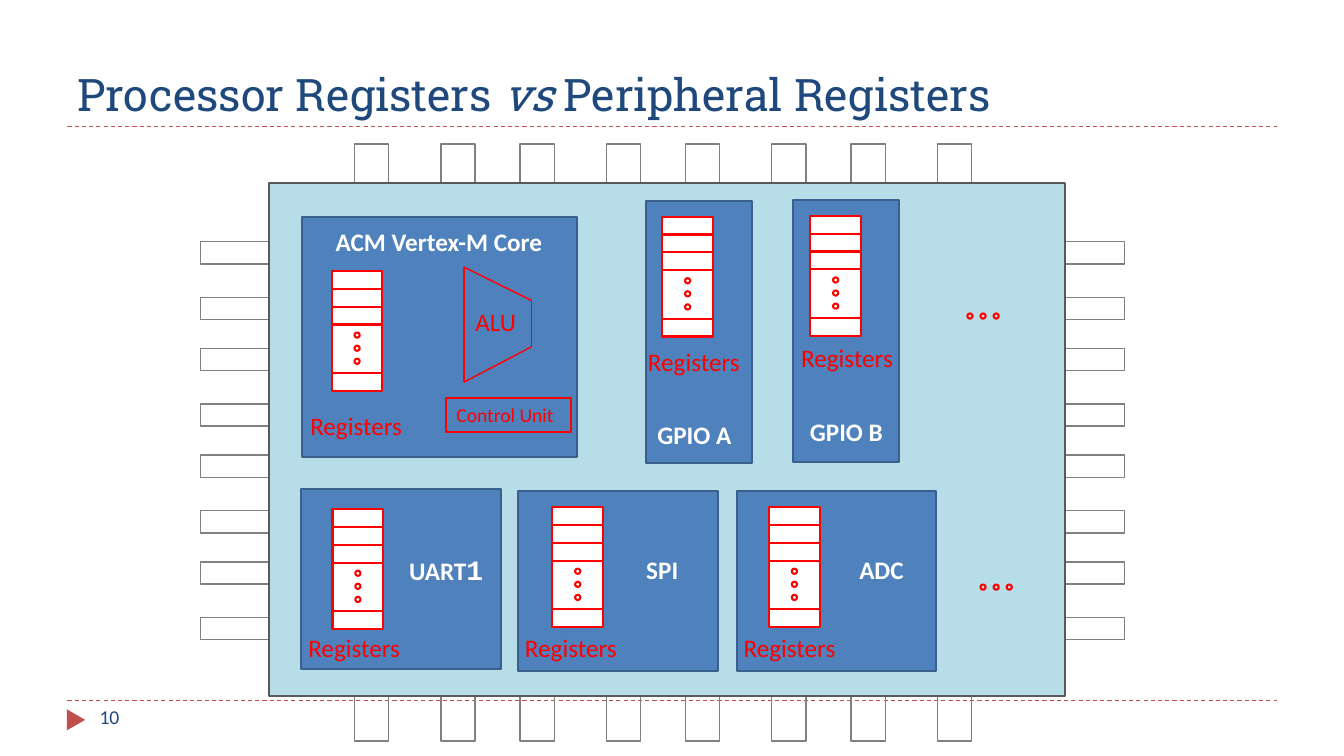
from lxml import etree
from pptx import Presentation
from pptx.dml.color import RGBColor
from pptx.enum.dml import MSO_LINE
from pptx.enum.shapes import MSO_CONNECTOR, MSO_SHAPE
from pptx.enum.text import MSO_ANCHOR, MSO_AUTO_SIZE, PP_ALIGN
from pptx.oxml.ns import qn
from pptx.util import Cm, Pt

RECT, OVAL, TRIANGLE = MSO_SHAPE.RECTANGLE, MSO_SHAPE.OVAL, MSO_SHAPE.ISOSCELES_TRIANGLE
STRAIGHT, DASH = MSO_CONNECTOR.STRAIGHT, MSO_LINE.DASH
TOP, MIDDLE, BOTTOM = MSO_ANCHOR.TOP, MSO_ANCHOR.MIDDLE, MSO_ANCHOR.BOTTOM
LEFT, CENTER = PP_ALIGN.LEFT, PP_ALIGN.CENTER
GROW = MSO_AUTO_SIZE.SHAPE_TO_FIT_TEXT

COLORS = {
    "title": "1F497D", "accent": "C0504D", "pin": "808080",
    "chip": "B7DEE8", "chip_edge": "595959",
    "module": "4F81BD", "module_edge": "3A5F8C",
    "register": "FF0000", "white": "FFFFFF",
}
CELL_WIDTH, CELL_HEIGHT, GAP_HEIGHT = 1.28, 0.45, 1.22
DOT_SIZE, DOT_PITCH = 0.13, 0.33
LABEL_HEIGHT = 1.02

# name, block (left, top, width, height), stack, "Registers" label, name (left, top, width)
PERIPHERALS = [
    ("GPIO A", (16.28, 5.06, 2.67, 6.6), (16.69, 5.46), (16.08, 8.59), (16.08, 10.44, 2.84)),
    ("GPIO B", (19.99, 5.04, 2.67, 6.6), (20.42, 5.44), (19.94, 8.51), (19.91, 10.36, 2.84)),
    ("UART1", (7.59, 12.32, 5.03, 4.55), (8.38, 12.83), (7.52, 15.8), (9.86, 13.79, 2.77)),
    ("SPI", (13.06, 12.37, 5.03, 4.55), (13.92, 12.78), (12.98, 15.82), (15.93, 13.84, 1.52)),
    ("ADC", (18.57, 12.37, 5.03, 4.55), (19.38, 12.78), (18.49, 15.82), (21.21, 13.84, 2.01)),
]


def rgb(name):
    return RGBColor.from_string(COLORS[name])


def add_block(shapes, box, fill=None, edge=None, weight=1.5, kind=RECT):
    block = shapes.add_shape(kind, *map(Cm, box))
    block.shadow.inherit = False
    if fill:
        block.fill.solid()
        block.fill.fore_color.rgb = rgb(fill)
    else:
        block.fill.background()
    if edge:
        block.line.color.rgb = rgb(edge)
        block.line.width = Pt(weight)
    else:
        block.line.fill.background()
    return block


def add_line(shapes, start, end, color, weight, dash=None):
    line = shapes.add_connector(STRAIGHT, *map(Cm, start + end))
    line.line.color.rgb = rgb(color)
    line.line.width = Pt(weight)
    if dash:
        line.line.dash_style = dash
    etree.SubElement(line._element.spPr, qn("a:effectLst"))


def style_run(run, color, size, font="Calibri", bold=False):
    run.font.name = font
    run.font.size = Pt(size)
    run.font.bold = bold
    run.font.color.rgb = rgb(color)


def write(shape, text, color, size, font="Calibri", bold=False,
          align=LEFT, anchor=TOP, wrap=False):
    frame = shape.text_frame
    frame.word_wrap = wrap
    frame.auto_size = MSO_AUTO_SIZE.NONE if wrap else GROW
    frame.vertical_anchor = anchor
    frame.text = text
    paragraph = frame.paragraphs[0]
    paragraph.alignment = align
    style_run(paragraph.runs[0], color, size, font, bold)
    return paragraph


def add_label(shapes, box, text, color, size=18, **style):
    return write(shapes.add_textbox(*map(Cm, box)), text, color, size, **style)


def add_dots(shapes, left, top, step_x=0, step_y=0):
    for i in range(3):
        add_block(shapes, (left + i * step_x, top + i * step_y, DOT_SIZE, DOT_SIZE),
                  edge="register", kind=OVAL)


def add_register_stack(shapes, left, top):
    """Three cells, a tall cell with three dots, and a last cell."""
    gap_top = 3 * CELL_HEIGHT
    cells = [(gap_top, GAP_HEIGHT)]
    cells += [(i * CELL_HEIGHT, CELL_HEIGHT) for i in range(3)]
    cells.append((gap_top + GAP_HEIGHT, CELL_HEIGHT))
    for offset, height in cells:
        add_block(shapes, (left, top + offset, CELL_WIDTH, height), "white", "register")
    add_dots(shapes, left + (CELL_WIDTH - DOT_SIZE) / 2, top + 1.55, step_y=DOT_PITCH)


def add_registers_label(shapes, corner):
    add_label(shapes, (*corner, 2.9, LABEL_HEIGHT), "Registers", "register")


def add_peripheral(slide, name, block, stack, registers, name_spot):
    shapes = slide.shapes.add_group_shape().shapes
    add_block(shapes, block, "module", "module_edge")
    add_registers_label(shapes, registers)
    word = name.rstrip("1")
    paragraph = add_label(shapes, (*name_spot, LABEL_HEIGHT), word, "white",
                          bold=True, align=CENTER)
    if word != name:
        digit = paragraph.add_run()
        digit.text = name[len(word):]
        style_run(digit, "white", 20, "Courier New", True)
    add_register_stack(shapes, *stack)


def add_chip(slide):
    """Package with pins that run beneath it, set in pairs on each side."""
    shapes = slide.shapes.add_group_shape().shapes
    for i in range(8):
        pair, second = divmod(i, 2)
        add_block(shapes, (8.94 + pair * 4.17 + second * 2.17, 3.63, 0.86, 15.04),
                  edge="pin", weight=1)
    for i in range(8):
        pair, second = divmod(i, 2)
        add_block(shapes, (5.05, 6.09 + pair * 2.69 + second * 1.4, 23.29, 0.56),
                  edge="pin", weight=1)
    add_block(shapes, (6.78, 4.62, 20.07, 12.93), "chip", "chip_edge")


def add_core(slide):
    shapes = slide.shapes
    add_block(shapes, (7.62, 5.46, 6.93, 6.05), "module", "module_edge")
    add_label(shapes, (7.67, 5.59, 6.78, LABEL_HEIGHT), "ACM Vertex-M Core", "white",
              bold=True, align=CENTER)
    add_registers_label(shapes, (7.57, 10.21))
    alu = shapes.add_group_shape().shapes
    corners = [(11.69, 6.73), (13.39, 7.57), (13.39, 8.74), (11.69, 9.63)]
    for start, end in zip(corners, corners[1:] + corners[:1]):
        add_line(alu, start, end, "register", 1)
    add_label(shapes, (11.73, 7.59, 1.7, LABEL_HEIGHT), "ALU", "register")
    control = add_block(shapes, (11.25, 10.03, 3.15, 0.86), edge="register")
    write(control, "Control Unit", "register", 14, anchor=MIDDLE)
    add_register_stack(shapes.add_group_shape().shapes, 8.36, 6.83)


def add_frame(slide):
    """Rules, title and slide number."""
    shapes = slide.shapes
    for y in (17.65, 3.18):
        add_line(shapes, (1.7, y), (32.17, y), "accent", 0.75, DASH)
    marker = add_block(shapes, (1.65, 17.91, 0.53, 0.46), "accent", kind=TRIANGLE)
    marker.rotation = 90
    title = add_label(shapes, (1.7, 0.43, 30.48, 2.74), "Processor Registers ", "title", 32,
                      font="Roboto Slab", anchor=BOTTOM, wrap=True)
    for text, italic in (("vs", True), (" Peripheral Registers", False)):
        run = title.add_run()
        run.text = text
        style_run(run, "title", 32, "Roboto Slab")
        run.font.italic = italic
    add_label(shapes, (2.26, 17.65, 7.34, 1.02), "10", "title", 14, wrap=True)


def main():
    deck = Presentation()
    deck.slide_width, deck.slide_height = Cm(33.87), Cm(19.05)
    slide = deck.slides.add_slide(deck.slide_layouts[6])
    add_frame(slide)
    add_chip(slide)
    add_core(slide)
    for peripheral in PERIPHERALS:
        add_peripheral(slide, *peripheral)
    for left, top in ((24.38, 7.9), (24.71, 14.73)):
        add_dots(slide.shapes.add_group_shape().shapes, left, top, step_x=DOT_PITCH)
    deck.save("out.pptx")


if __name__ == "__main__":
    main()
